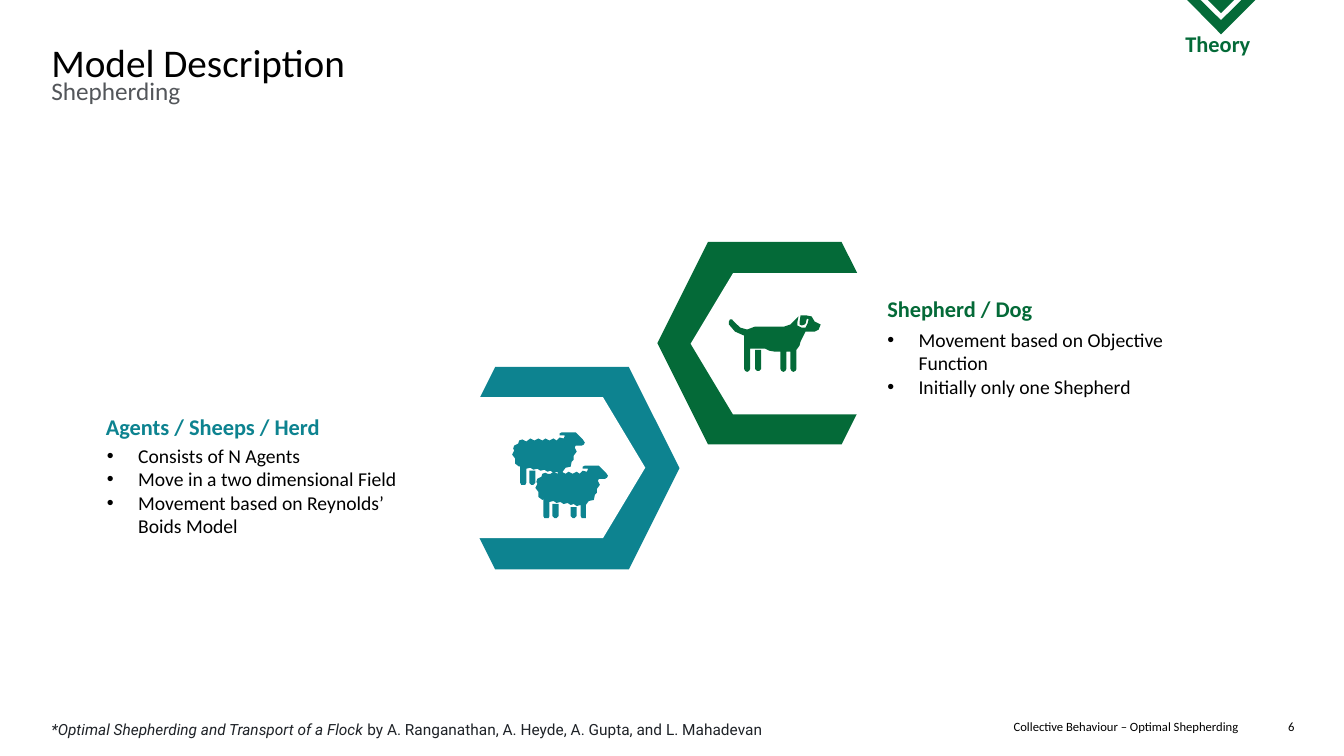
from dataclasses import dataclass

from lxml import etree
from pptx import Presentation
from pptx.dml.color import RGBColor
from pptx.enum.shapes import MSO_SHAPE as Preset
from pptx.enum.text import MSO_ANCHOR as Anchor, MSO_AUTO_SIZE as AutoSize, PP_ALIGN as Align
from pptx.oxml.ns import qn
from pptx.shapes.autoshape import Shape
from pptx.slide import Slide
from pptx.text.text import TextFrame
from pptx.util import Emu, Pt

PX = 9144  # 100 px to the inch
GREEN = RGBColor(0x04, 0x6A, 0x38)
TEAL = RGBColor(0x0D, 0x83, 0x90)
BLACK = RGBColor(0, 0, 0)
GRAY = RGBColor(0x53, 0x56, 0x5A)
INK = RGBColor(0x1F, 0x23, 0x28)
WHITE = RGBColor(255, 255, 255)

Box = tuple[int, int, int, int]
Points = list[tuple[int, int]]


@dataclass
class Label:
    text: str
    box: Box
    size: int
    color: RGBColor = BLACK
    align: Align = Align.LEFT
    bold: bool = False
    font: str = "Calibri"


@dataclass
class Role:
    heading: str
    heading_box: Box
    items: list[str]
    list_box: Box
    color: RGBColor
    hexagon_box: Box
    plate_box: Box
    plate_rotation: int
    placeholders: tuple[int, int]


LABELS = [
    Label("Collective Behaviour – Optimal Shepherding", (693, 713, 535, 15), 9, align=Align.RIGHT),
    Label("6", (1250, 713, 34, 15), 9, align=Align.RIGHT),
    Label("Theory", (1090, 30, 236, 27), 16, GREEN, Align.CENTER, True),
    Label("Shepherding", (51, 75, 1233, 83), 18, GRAY),
]
ROLES = [
    Role("Shepherd / Dog", (870, 288, 166, 37),
         ["Movement based on Objective Function", "Initially only one Shepherd"],
         (870, 320, 323, 81), GREEN, (652, 240, 233, 201), (685, 271, 575, 140), 180, (3, 4)),
    Role("Agents / Sheeps / Herd", (95, 405, 240, 37),
         ["Consists of N Agents", "Move in a two dimensional Field",
          "Movement based on Reynolds’ Boids Model"],
         (96, 435, 323, 128), TEAL, (441, 364, 233, 201), (65, 394, 575, 140), 0, (1, 2)),
]
CHEVRON = [(1124, -61), (1134, -61), (1138, -55), (1149, -41), (1211, 20), (1273, -41),
           (1284, -55), (1288, -61), (1299, -61), (1297, -58), (1280, -35), (1211, 34),
           (1143, -35), (1125, -58)]
DOG = [(808, 319), (805, 314), (800, 313), (794, 313), (793, 320), (793, 322), (795, 323),
       (798, 322), (799, 321), (800, 317), (801, 316), (802, 317), (801, 321), (799, 325),
       (796, 325), (795, 325), (791, 323), (791, 319), (792, 314), (784, 322), (778, 324),
       (749, 324), (741, 327), (734, 325), (728, 319), (726, 317), (724, 317), (723, 319),
       (723, 322), (729, 329), (738, 333), (738, 335), (738, 366), (739, 368), (741, 369),
       (743, 368), (744, 366), (744, 346), (759, 346), (763, 348), (769, 349), (774, 349),
       (774, 366), (775, 368), (777, 369), (779, 368), (780, 366), (780, 349), (784, 349),
       (784, 366), (785, 368), (787, 369), (789, 368), (790, 366), (790, 347), (793, 343),
       (794, 339), (799, 329), (808, 329), (812, 327), (814, 322)]
SHEEP = [(70, 7), (63, 0), (60, 0), (49, 0), (47, 1), (47, 3), (49, 3), (52, 3), (52, 4),
         (51, 6), (47, 5), (44, 8), (41, 6), (37, 8), (33, 6), (30, 8), (26, 6), (22, 8),
         (18, 6), (14, 9), (10, 7), (7, 8), (6, 11), (2, 13), (1, 16), (2, 18), (0, 22),
         (3, 26), (3, 31), (7, 34), (8, 33), (8, 50), (9, 52), (11, 52), (13, 52), (14, 50),
         (14, 36), (18, 35), (21, 37), (25, 36), (28, 38), (32, 37), (35, 39), (38, 38),
         (41, 40), (45, 39), (45, 50), (46, 52), (48, 52), (50, 52), (50, 50), (50, 39),
         (53, 35), (58, 34), (59, 29), (61, 27), (61, 23), (64, 19), (62, 15), (63, 13),
         (69, 13), (71, 12), (72, 10)]
SHEEP_ORIGINS = [(508, 429), (531, 462)]


def place(shape: Shape, box: Box) -> None:
    shape.left, shape.top, shape.width, shape.height = (Emu(value * PX) for value in box)


def paint(shape: Shape, color: RGBColor) -> None:
    shape.shadow.inherit = False
    shape.fill.solid()
    shape.fill.fore_color.rgb = color
    shape.line.fill.background()


def add_preset(slide: Slide, preset: Preset, box: Box, color: RGBColor, rotation: int = 0) -> Shape:
    shape = slide.shapes.add_shape(preset, *(Emu(value * PX) for value in box))
    paint(shape, color)
    shape.rotation = rotation
    return shape


def add_outline(slide: Slide, points: Points, color: RGBColor, origin: tuple[int, int] = (0, 0)) -> None:
    moved = [(x + origin[0], y + origin[1]) for x, y in points]
    builder = slide.shapes.build_freeform(*moved[0], scale=PX)
    builder.add_line_segments(moved[1:], close=True)
    paint(builder.convert_to_shape(), color)


def leg(left: int, top: int, bottom: int) -> Points:
    return [(left, top), (left + 6, top), (left + 6, bottom - 2), (left + 4, bottom),
            (left + 2, bottom), (left, bottom - 2)]


def set_up(text_frame: TextFrame, inset: bool = False, wrap: bool = True) -> None:
    text_frame.word_wrap = wrap
    text_frame.auto_size = AutoSize.NONE
    text_frame.vertical_anchor = Anchor.TOP
    side, edge = (10, 5) if inset else (0, 0)
    text_frame.margin_left = text_frame.margin_right = Emu(side * PX)
    text_frame.margin_top = text_frame.margin_bottom = Emu(edge * PX)


def style(text_frame: TextFrame, label: Label) -> None:
    for paragraph in text_frame.paragraphs:
        paragraph.alignment = label.align
        paragraph.space_before = Pt(0)
        for run in paragraph.runs:
            run.font.size = Pt(label.size)
            run.font.name = label.font
            run.font.bold = label.bold
            run.font.color.rgb = label.color


def fill_label(shape: Shape, label: Label, inset: bool = False, wrap: bool = True) -> None:
    place(shape, label.box)
    set_up(shape.text_frame, inset, wrap)
    shape.text_frame.text = label.text
    style(shape.text_frame, label)


def add_bullets(text_frame: TextFrame) -> None:
    for paragraph in text_frame.paragraphs:
        properties = paragraph._p.get_or_add_pPr()
        properties.set("marL", str(31 * PX))
        properties.set("indent", str(-31 * PX))
        etree.SubElement(properties, qn("a:buFont")).set("typeface", "Arial")
        etree.SubElement(properties, qn("a:buChar")).set("char", "•")


def bring_to_front(shape: Shape) -> None:
    shape.element.getparent().append(shape.element)


def add_role(slide: Slide, role: Role) -> None:
    add_preset(slide, Preset.HEXAGON, role.hexagon_box, role.color)
    plate = add_preset(slide, Preset.PENTAGON, role.plate_box, WHITE, role.plate_rotation)
    plate.adjustments[0] = 0.3
    heading, body = (slide.placeholders[index] for index in role.placeholders)
    fill_label(heading, Label(role.heading, role.heading_box, 16, role.color, bold=True), True, False)
    fill_label(body, Label("\n".join(role.items), role.list_box, 14), True)
    add_bullets(body.text_frame)
    bring_to_front(heading)
    bring_to_front(body)


def main() -> None:
    presentation = Presentation()
    presentation.slide_width, presentation.slide_height = Emu(1333 * PX), Emu(750 * PX)
    slide = presentation.slides.add_slide(presentation.slide_layouts.get_by_name("Comparison"))

    # Section marker
    add_preset(slide, Preset.TEAR, (1129, -185, 164, 164), GREEN, 135)
    add_outline(slide, CHEVRON, GREEN)

    # Shepherd and herd
    for role in ROLES:
        add_role(slide, role)
    add_outline(slide, DOG, GREEN)
    add_outline(slide, leg(749, 347, 368), GREEN)
    for origin in SHEEP_ORIGINS:
        for part in (SHEEP, leg(17, 38, 52), leg(35, 41, 52)):
            add_outline(slide, part, TEAL, origin)

    # Title, labels and footer
    fill_label(slide.shapes.title, Label("Model Description", (51, 38, 1233, 37), 28))
    bring_to_front(slide.shapes.title)
    for label in LABELS:
        fill_label(slide.shapes.add_textbox(0, 0, 0, 0), label)

    # Reference with its work in italics
    reference = slide.shapes.add_textbox(0, 0, 0, 0)
    fill_label(reference, Label("*Optimal Shepherding and Transport of a Flock",
                                (51, 714, 1233, 36), 11, INK, font="Roboto"))
    paragraph = reference.text_frame.paragraphs[0]
    paragraph.runs[0].font.italic = True
    paragraph.add_run().text = " by A. Ranganathan, A. Heyde, A. Gupta, and L. Mahadevan"
    style(reference.text_frame, Label("", (0, 0, 0, 0), 11, INK, font="Roboto"))

    presentation.save("out.pptx")


if __name__ == "__main__":
    main()
